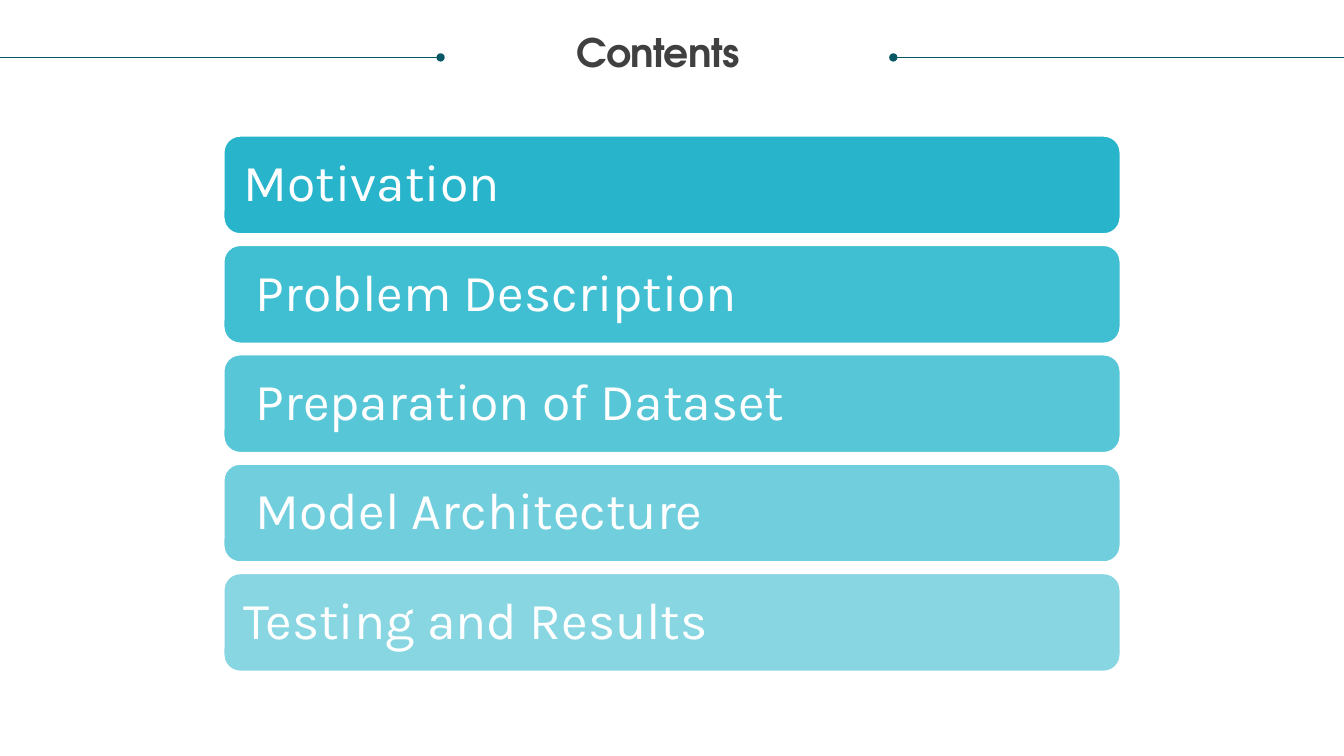
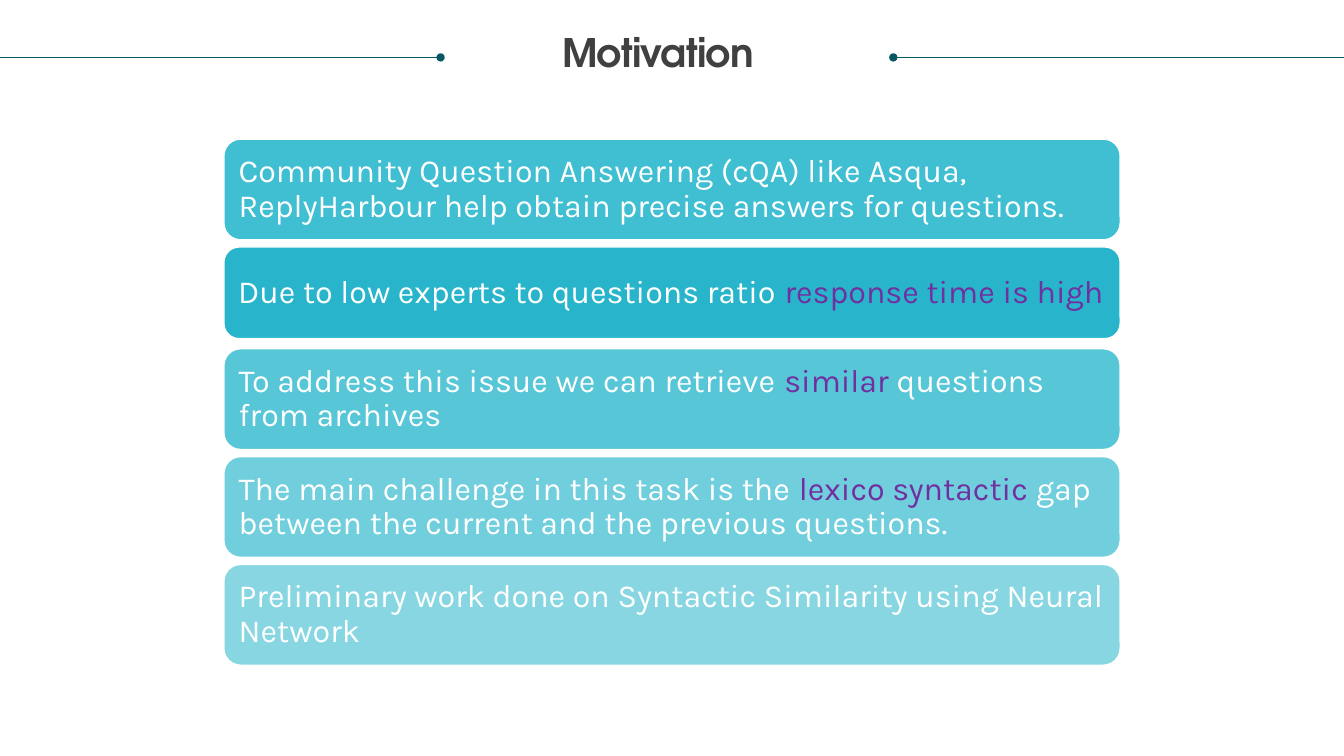
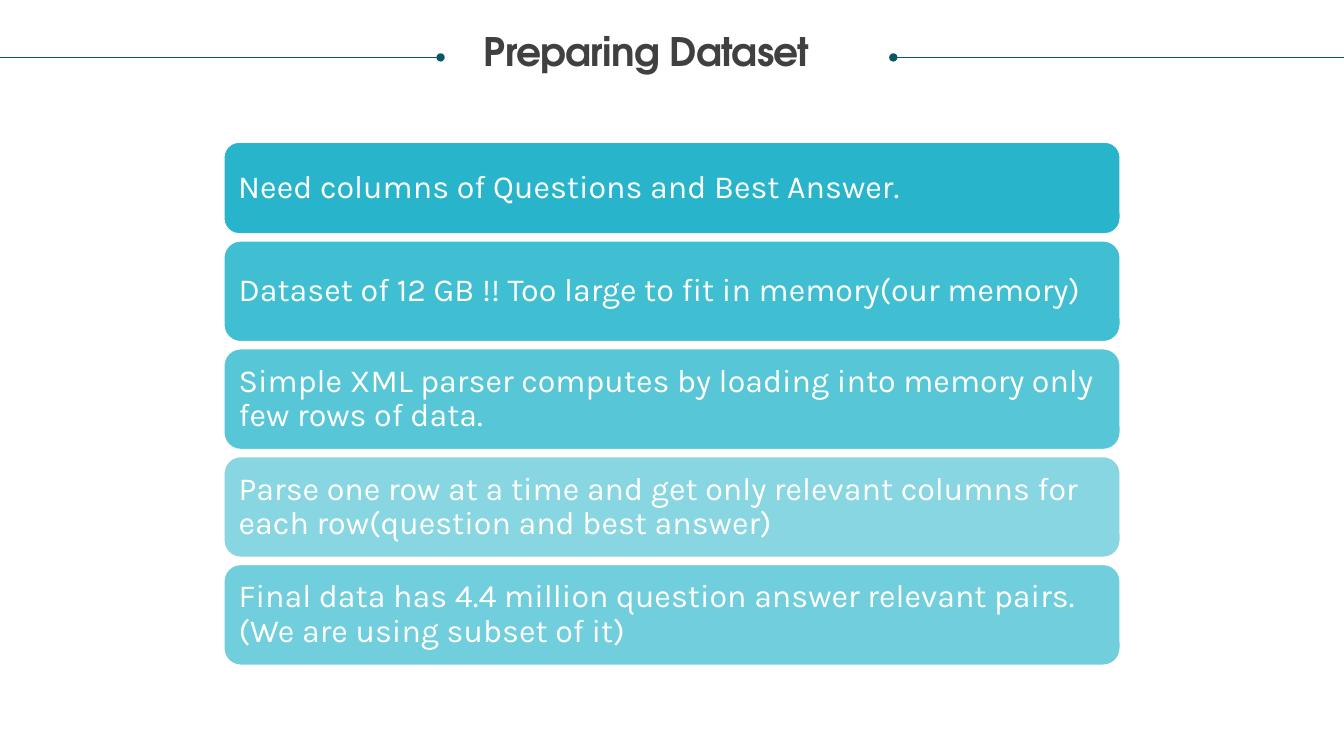
"""Build three slides of stacked rounded bars under a ruled title."""
from lxml import etree
from pptx import Presentation
from pptx import util as u
from pptx.dml.color import RGBColor
from pptx.enum import shapes, text
from pptx.oxml import ns

COLORS = {"rule": "085764", "title": "404040", "bar": "11AEC7", "plain": "FFFFFF", "accent": "7030A0"}
TITLE_FONT, BAR_FONT = "TeX Gyre Adventor", "Karla"
RULES = [(0, 4.37, "tailEnd"), (8.86, 13.33, "headEnd")]
BAR_LEFT, BAR_WIDTH = 2.22, 8.89
EVEN_TOPS = [1.35 + 1.085 * row for row in range(5)]

SECTIONS = [
    {
        "title": "Contents", "title_at": (0.11, 0.33), "size": 37, "margin": 0.15,
        "tops": EVEN_TOPS, "heights": [0.97] * 5,
        "opacities": [90, 80, 70, 60, 50], "indents": [0, 0.12, 0.12, 0.12, 0],
        "bars": [
            [("Motivation", "plain")],
            [("Problem Description", "plain")],
            [("Preparation of Dataset", "plain")],
            [("Model Architecture", "plain")],
            [("Testing and Results", "plain")],
        ],
    },
    {
        "title": "Motivation", "title_at": (0.11, 0.33), "size": 23, "margin": 0.1,
        "tops": [1.38, 2.45, 3.46, 4.53, 5.6], "heights": [1, 0.91, 1, 1, 1],
        "opacities": [80, 90, 70, 60, 50], "indents": [0] * 5,
        "bars": [
            [("Community Question Answering (cQA) like Asqua, ReplyHarbour help obtain "
              "precise answers for questions.", "plain")],
            [("Due to low experts to questions ratio ", "plain"), ("response time is high", "accent")],
            [("To address this issue we can retrieve ", "plain"), ("similar", "accent"),
             (" questions from archives", "plain")],
            [("The main challenge in this task is the ", "plain"), ("lexico syntactic ", "accent"),
             ("gap between the current and the previous questions.", "plain")],
            [("Preliminary work done on Syntactic Similarity using Neural Network", "plain")],
        ],
    },
    {
        "title": "Preparing Dataset", "title_at": (0, 0.32), "size": 23, "margin": 0.1,
        "tops": [1.41, 2.39, 3.46, 4.53, 5.6], "heights": [0.91, 1, 1, 1, 1],
        "opacities": [90, 80, 70, 50, 60], "indents": [0] * 5,
        "bars": [
            [("Need columns of Questions and Best Answer.", "plain")],
            [("Dataset of 12 GB !! Too large to fit in memory(our memory)", "plain")],
            [("Simple XML parser computes by loading into memory only few rows of data.", "plain")],
            [("Parse one row at a time and get only relevant columns for each row"
              "(question and best answer)", "plain")],
            [("Final data has 4.4 million question answer relevant pairs."
              "(We are using subset of it)", "plain")],
        ],
    },
]


def write(paragraph, words, color, **font_format):
    run = paragraph.add_run()
    run.text = words
    run.font.color.rgb = RGBColor.from_string(COLORS[color])
    for name, value in font_format.items():
        setattr(run.font, name, value)
    return run


def arrange(frame, align, **frame_format):
    for name, value in frame_format.items():
        setattr(frame, name, value)
    paragraph = frame.paragraphs[0]
    paragraph.alignment = align
    paragraph.line_spacing = 0.9
    return paragraph


deck = Presentation()
deck.slide_width, deck.slide_height = u.Inches(13.33), u.Inches(7.5)

for section in SECTIONS:
    slide = deck.slides.add_slide(deck.slide_layouts[5])

    for start, end, dot_end in RULES:
        rule = slide.shapes.add_connector(
            shapes.MSO_CONNECTOR.STRAIGHT, u.Inches(start), u.Inches(0.57), u.Inches(end), u.Inches(0.57))
        rule.line.color.rgb = RGBColor.from_string(COLORS["rule"])
        rule.line.width = u.Pt(0.5)
        etree.SubElement(rule.line._get_or_add_ln(), ns.qn("a:" + dot_end), type="oval")
        etree.SubElement(rule._element.spPr, ns.qn("a:effectLst"))

    heading = slide.shapes.title
    heading.left, heading.top = (u.Inches(side) for side in section["title_at"])
    heading.width, heading.height = u.Inches(12.83), u.Inches(0.73)
    line = arrange(
        heading.text_frame, text.PP_ALIGN.CENTER, margin_left=0, margin_right=0, margin_top=0,
        margin_bottom=0, word_wrap=True, auto_size=text.MSO_AUTO_SIZE.NONE,
        vertical_anchor=text.MSO_ANCHOR.TOP)
    title_run = write(line, section["title"], "title", name=TITLE_FONT, size=u.Pt(28), bold=True)
    title_run.font._element.set("spc", "-50")

    margin = section["margin"]
    rows = zip(section["tops"], section["heights"], section["opacities"], section["indents"], section["bars"])
    for top, height, opacity, indent, pieces in rows:
        bar = slide.shapes.add_shape(
            shapes.MSO_SHAPE.ROUNDED_RECTANGLE,
            u.Inches(BAR_LEFT), u.Inches(top), u.Inches(BAR_WIDTH), u.Inches(height))
        bar.shadow.inherit = False
        bar.fill.solid()
        bar.fill.fore_color.rgb = RGBColor.from_string(COLORS["bar"])
        tint = bar._element.spPr.find(".//" + ns.qn("a:srgbClr"))
        etree.SubElement(tint, ns.qn("a:alpha"), val=str(opacity * 1000))
        bar.line.color.rgb = RGBColor.from_string(COLORS["plain"])
        bar.line.width = u.Pt(1)
        line = arrange(
            bar.text_frame, text.PP_ALIGN.LEFT, margin_left=u.Inches(margin + indent),
            margin_right=u.Inches(0.05), margin_top=u.Inches(margin), margin_bottom=u.Inches(margin),
            word_wrap=True, vertical_anchor=text.MSO_ANCHOR.MIDDLE)
        for words, color in pieces:
            write(line, words, color, name=BAR_FONT, size=u.Pt(section["size"]))

deck.save("out.pptx")
